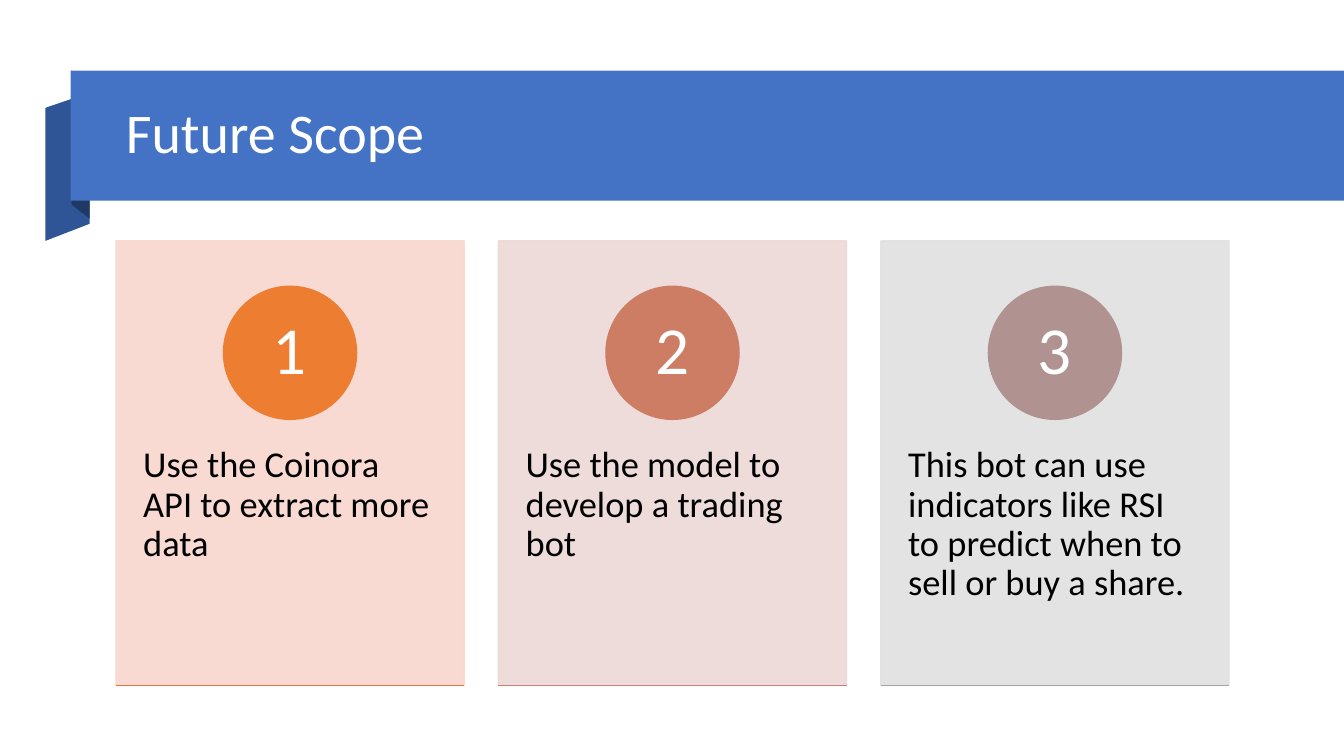
from lxml.etree import SubElement
from pptx import Presentation
from pptx.dml.color import RGBColor
from pptx.enum.shapes import MSO_CONNECTOR as Connector, MSO_SHAPE as Shape
from pptx.enum.text import MSO_ANCHOR as Anchor, PP_ALIGN as Align
from pptx.oxml.ns import qn
from pptx.util import Inches, Pt

# Content
TITLE = "Future Scope"
WHITE = RGBColor(0xFF, 0xFF, 0xFF)
BLACK = RGBColor(0x00, 0x00, 0x00)
BANNER = RGBColor(0x44, 0x72, 0xC4)
RIBBON = RGBColor(0x2F, 0x55, 0x97)
FOLD = RGBColor(0x20, 0x38, 0x64)
# Step text, panel colour, circle colour, rule colour
STEPS = [
    ("Use the Coinora API to extract more data",
     RGBColor(0xF8, 0xD7, 0xCE), RGBColor(0xED, 0x7D, 0x31), RGBColor(0xDC, 0x7A, 0x4B)),
    ("Use the model to develop a trading bot",
     RGBColor(0xED, 0xD9, 0xD7), RGBColor(0xCC, 0x7D, 0x64), RGBColor(0xBD, 0x86, 0x7B)),
    ("This bot can use indicators like RSI to predict when to sell or buy a share.",
     RGBColor(0xE1, 0xE1, 0xE1), RGBColor(0xB0, 0x93, 0x91), RGBColor(0xA5, 0xA5, 0xA5)),
]
RIBBON_PARTS = [
    (RIBBON, [(0.89, 2.22), (0.45, 2.39), (0.45, 1.07), (0.89, 0.92)]),
    (FOLD, [(0.89, 2.17), (0.71, 2.03), (0.71, 0.7), (0.89, 0.85)]),
]

# Text formats
TITLE_FORMAT = {"size": Pt(40), "color": WHITE, "anchor": Anchor.MIDDLE,
                "align": Align.LEFT, "insets": (0.1, 0.05), "after": 0}
STEP_FORMAT = {"size": Pt(26), "color": BLACK, "anchor": Anchor.TOP,
               "align": Align.LEFT, "insets": (0.27, 0.36), "after": Pt(9)}
NUMBER_FORMAT = {"size": Pt(48), "color": WHITE, "anchor": Anchor.MIDDLE,
                 "align": Align.CENTER, "insets": (0.1, 0.01), "after": 0}

# Column grid
SLIDE_W, SLIDE_H = 13.33, 7.5
MARGIN, GAP = 1.15, 0.34
CARD_W = (SLIDE_W - 2 * MARGIN + 0.01 - 2 * GAP) / len(STEPS)
CARD_TOP, CARD_H = 2.39, 4.41
CARD_BOTTOM = CARD_TOP + CARD_H
CIRCLE, CIRCLE_TOP = 1.32, 2.84
NUMBER = 0.94
STEP_TOP, STEP_H = 4.07, 2.65

deck = Presentation()
deck.slide_width, deck.slide_height = Inches(SLIDE_W), Inches(SLIDE_H)
slide = deck.slides.add_slide(deck.slide_layouts[6])
shapes = slide.shapes


def paint(shape, color, outlined=False, opacity=None):
    shape.shadow.inherit = False
    shape.fill.solid()
    shape.fill.fore_color.rgb = color
    if outlined:
        shape.line.color.rgb = color
        shape.line.width = Pt(1)
    else:
        shape.line.fill.background()
    if opacity:
        for tint in shape._element.spPr.iter(qn("a:srgbClr")):
            SubElement(tint, qn("a:alpha"), val=str(opacity * 1000))


def add_preset(kind, box, color, **look):
    paint(shapes.add_shape(kind, *map(Inches, box)), color, **look)


def add_text(words, box, style):
    frame = shapes.add_textbox(*map(Inches, box)).text_frame
    side, edge = map(Inches, style["insets"])
    frame_format = {"word_wrap": True, "vertical_anchor": style["anchor"],
                    "margin_left": side, "margin_right": side,
                    "margin_top": edge, "margin_bottom": edge}
    paragraph = frame.paragraphs[0]
    run = paragraph.add_run()
    run.text = words
    formats = [
        (frame, frame_format),
        (paragraph, {"alignment": style["align"], "line_spacing": 0.9,
                     "space_after": style["after"]}),
        (run.font, {"name": "Calibri", "size": style["size"]}),
    ]
    for target, values in formats:
        for name, value in values.items():
            setattr(target, name, value)
    run.font.color.rgb = style["color"]


# Folded ribbon and title banner
for color, (start, *corners) in RIBBON_PARTS:
    outline = shapes.build_freeform(*map(Inches, start), scale=1.0)
    outline.add_line_segments([tuple(map(Inches, corner)) for corner in corners])
    paint(outline.convert_to_shape(), color)
add_preset(Shape.RECTANGLE, (0.7, 0.7, SLIDE_W - 0.7, 1.29), BANNER)
add_text(TITLE, (MARGIN, 0.86, 11.27, 0.96), TITLE_FORMAT)

# Numbered cards
for index, (step, panel, circle, rule) in enumerate(STEPS):
    left = MARGIN + index * (CARD_W + GAP)
    center = left + CARD_W / 2
    add_preset(Shape.RECTANGLE, (left, CARD_TOP, CARD_W, CARD_H), panel,
               outlined=True, opacity=90)
    add_text(step, (left, STEP_TOP, CARD_W, STEP_H), STEP_FORMAT)
    add_preset(Shape.OVAL, (center - CIRCLE / 2, CIRCLE_TOP, CIRCLE, CIRCLE),
               circle, outlined=True)
    add_text(str(index + 1), (center - NUMBER / 2, CIRCLE_TOP + (CIRCLE - NUMBER) / 2,
                              NUMBER, NUMBER), NUMBER_FORMAT)
    base = shapes.add_connector(Connector.STRAIGHT, *map(
        Inches, (left, CARD_BOTTOM, left + CARD_W, CARD_BOTTOM)))
    base.line.color.rgb = rule
    base.line.width = Pt(1)
    SubElement(base._element.spPr, qn("a:effectLst"))

deck.save("out.pptx")
